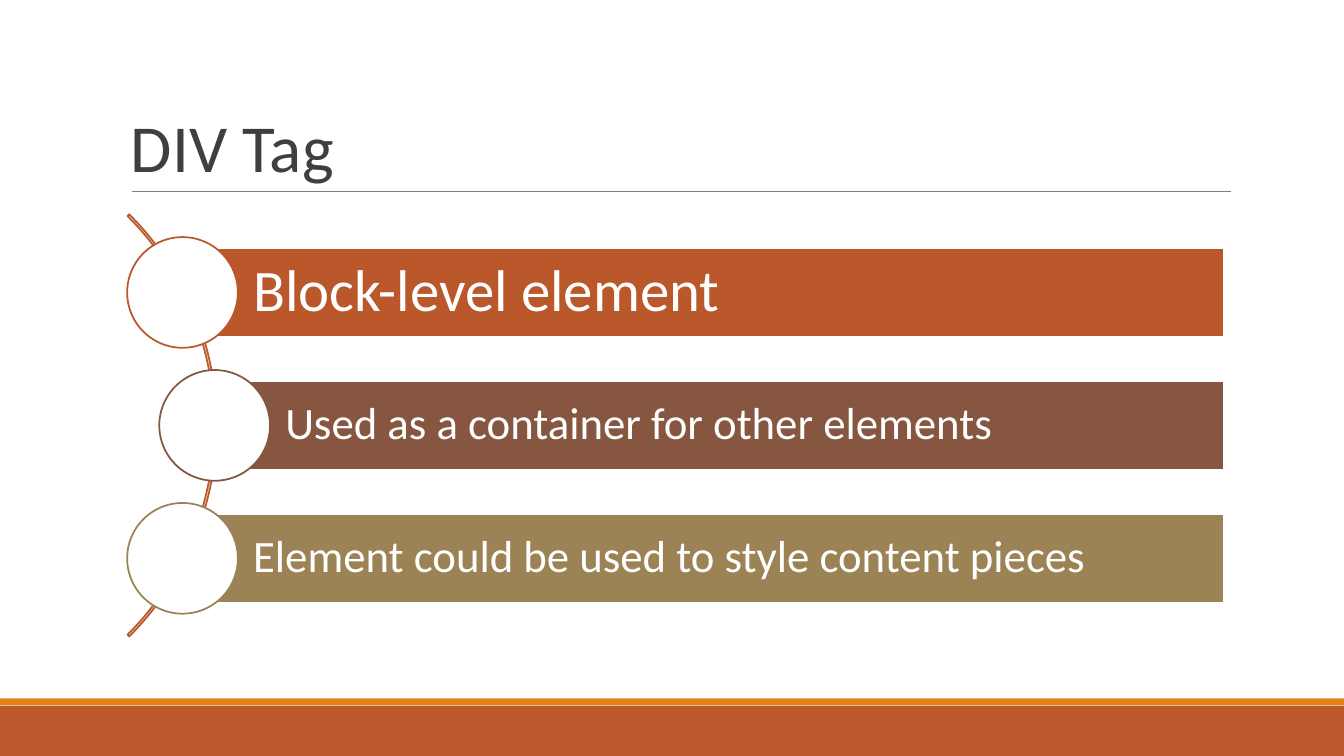
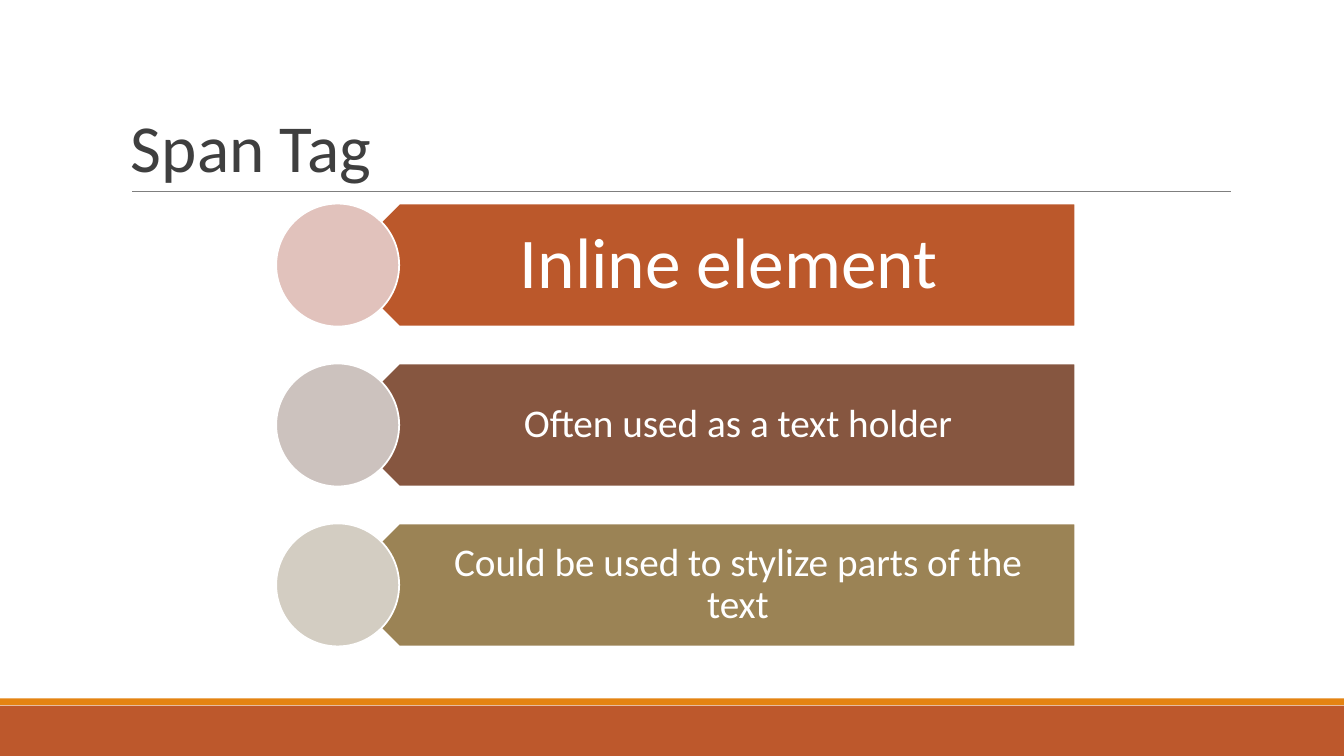
import pptx
import pptx.dml.color
import pptx.enum.shapes
import pptx.enum.text
import pptx.oxml
import pptx.util

Cm = pptx.util.Cm
Pt = pptx.util.Pt
RGB = pptx.dml.color.RGBColor
SHAPE = pptx.enum.shapes.MSO_SHAPE
ALIGN = pptx.enum.text.PP_ALIGN
ANCHOR = pptx.enum.text.MSO_ANCHOR

WIDTH, HEIGHT = 33.87, 19.05
FONT = "Calibri"
WHITE = RGB(0xFF, 0xFF, 0xFF)
INK = RGB(0x3F, 0x3F, 0x3F)
GREY = RGB(0x7F, 0x7F, 0x7F)
BAND = RGB(0xBD, 0x58, 0x2C)
STRIPE = RGB(0xE4, 0x83, 0x12)
RUST = RGB(0xBB, 0x58, 0x2B)
BROWN = RGB(0x86, 0x56, 0x40)
OLIVE = RGB(0x9B, 0x83, 0x55)
PINK = RGB(0xE1, 0xC2, 0xBC)
STONE = RGB(0xCC, 0xC2, 0xBE)
SAND = RGB(0xD3, 0xCD, 0xC2)


def put(target, values):
    for name, value in values.items():
        setattr(target, name, value)


def add_shape(slide, kind, box, fill=None, line=None):
    """Add a preset shape; box is left, top, width, height in cm."""
    shape = slide.shapes.add_shape(kind, *map(Cm, box))
    shape.shadow.inherit = False
    if fill is None:
        shape.fill.background()
    else:
        shape.fill.solid()
        shape.fill.fore_color.rgb = fill
    if line is None:
        shape.line.fill.background()
    else:
        shape.line.color.rgb = line
        shape.line.width = Pt(1.25)
    return shape


def add_rule(slide, left, right, top):
    rule = slide.shapes.add_connector(
        pptx.enum.shapes.MSO_CONNECTOR.STRAIGHT,
        Cm(left), Cm(top), Cm(right), Cm(top))
    rule.line.color.rgb = GREY
    rule.line.width = Pt(0.75)
    props = rule.element.spPr
    props.append(pptx.oxml.parse_xml(
        '<a:effectLst xmlns:a='
        '"http://schemas.openxmlformats.org/drawingml/2006/main"/>'))
    return rule


def write(shape, text, size, pads, color=WHITE, align=ALIGN.LEFT,
          anchor=ANCHOR.MIDDLE, space=0.9):
    """Fill a shape with one paragraph; pads are left, top, right, bottom."""
    frame = shape.text_frame
    frame.text = text
    sides = ("margin_left", "margin_top", "margin_right", "margin_bottom")
    put(frame, dict(zip(sides, map(Cm, pads))))
    put(frame, {"word_wrap": True, "vertical_anchor": anchor,
                "auto_size": pptx.enum.text.MSO_AUTO_SIZE.NONE})
    para = frame.paragraphs[0]
    put(para, {"alignment": align, "line_spacing": space})
    put(para.runs[0].font, {"name": FONT, "size": Pt(size)})
    para.runs[0].font.color.rgb = color


def add_slide(deck, layout, title):
    slide = deck.slides.add_slide(layout)
    head = slide.shapes.title
    put(head, {"left": Cm(3.05), "top": Cm(0.79),
               "width": Cm(27.94), "height": Cm(4.04)})
    write(head, title, 48, (0.25, 0.13, 0.25, 0.13), INK,
          anchor=ANCHOR.BOTTOM, space=0.85)
    return slide


def dress(slide):
    """Draw the bands and title rule, and move them to the shared layout."""
    layout = slide.slide_layout
    for holder in list(layout.placeholders)[1:]:
        layout.shapes.element.remove(holder.element)
    parts = (
        add_shape(slide, SHAPE.RECTANGLE, (0, 17.78, WIDTH, 1.27), BAND),
        add_shape(slide, SHAPE.RECTANGLE, (0, 17.6, WIDTH, 0.17), STRIPE),
        add_rule(slide, 3.33, 31.01, 4.82),
    )
    for part in parts:
        layout.shapes.element.append(part.element)


def add_arc_list(slide, rows):
    """Bars beside circles that sit along an arc."""
    arc = add_shape(slide, SHAPE.BLOCK_ARC, (-9.58, 3.2, 15.04, 15.04),
                    line=RUST)
    for index, value in enumerate((189, 27, 0.004)):
        arc.adjustments[index] = value
    right, high, disc = 30.84, 2.24, 2.79
    for index, (text, size, pad, left, color) in enumerate(rows):
        top = 6.25 + index * 3.35
        bar = add_shape(slide, SHAPE.RECTANGLE,
                        (left, top, right - left, high), color, WHITE)
        write(bar, text, size, (1.78, pad, pad, pad))
        add_shape(slide, SHAPE.OVAL,
                  (left - disc / 2, top - (disc - high) / 2, disc, disc),
                  WHITE, color)


def add_plate_list(slide, rows):
    """Left-pointing plates, each with a circle over its tip."""
    left, wide, high = 8.51, 18.59, 3.1
    inset = high / 4
    for index, (text, size, pad, end, color, tint) in enumerate(rows):
        top = 5.13 + index * 4.03
        plate = add_shape(slide, SHAPE.PENTAGON, (left, top, wide, high),
                          color, WHITE)
        plate.rotation = 180
        label = slide.shapes.add_textbox(
            *map(Cm, (left + inset, top, wide - inset, high)))
        write(label, text, size, (1.37, pad, end, pad), align=ALIGN.CENTER)
        add_shape(slide, SHAPE.OVAL, (left - high / 2, top, high, high),
                  tint, WHITE)


def main():
    deck = pptx.Presentation()
    put(deck, {"slide_width": Cm(WIDTH), "slide_height": Cm(HEIGHT)})
    layout = deck.slide_layouts[5]

    slide = add_slide(deck, layout, "DIV Tag")
    dress(slide)
    add_arc_list(slide, (
        ("Block-level element", 42, 0.3, 4.6, RUST),
        ("Used as a container for other elements", 32, 0.23, 5.41, BROWN),
        ("Element could be used to style content pieces", 32, 0.23, 4.6,
         OLIVE),
    ))

    slide = add_slide(deck, layout, "Span Tag")
    add_plate_list(slide, (
        ("Inline element", 51, 0.53, 1.02, RUST, PINK),
        ("Often used as a text holder", 28, 0.3, 0.56, BROWN, STONE),
        ("Could be used to stylize parts of the text", 28, 0.3, 0.56,
         OLIVE, SAND),
    ))
    deck.save("out.pptx")


if __name__ == "__main__":
    main()
